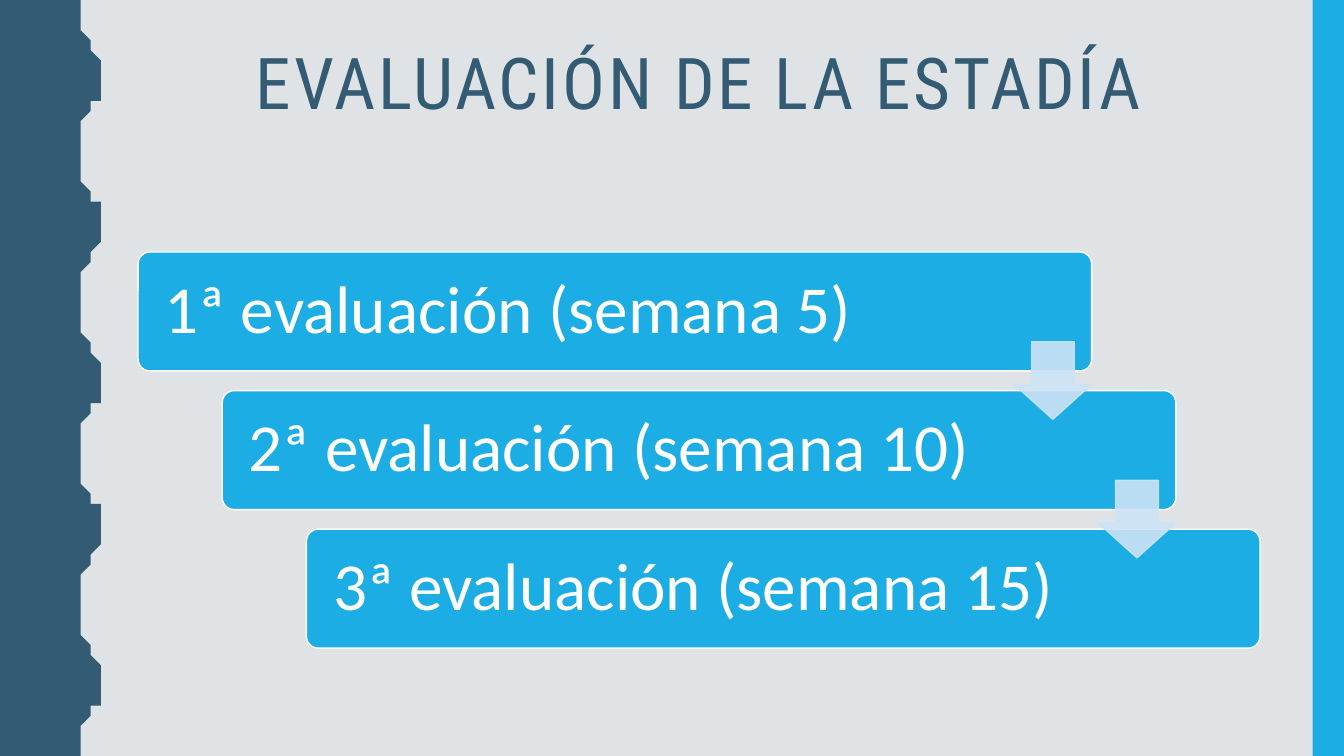
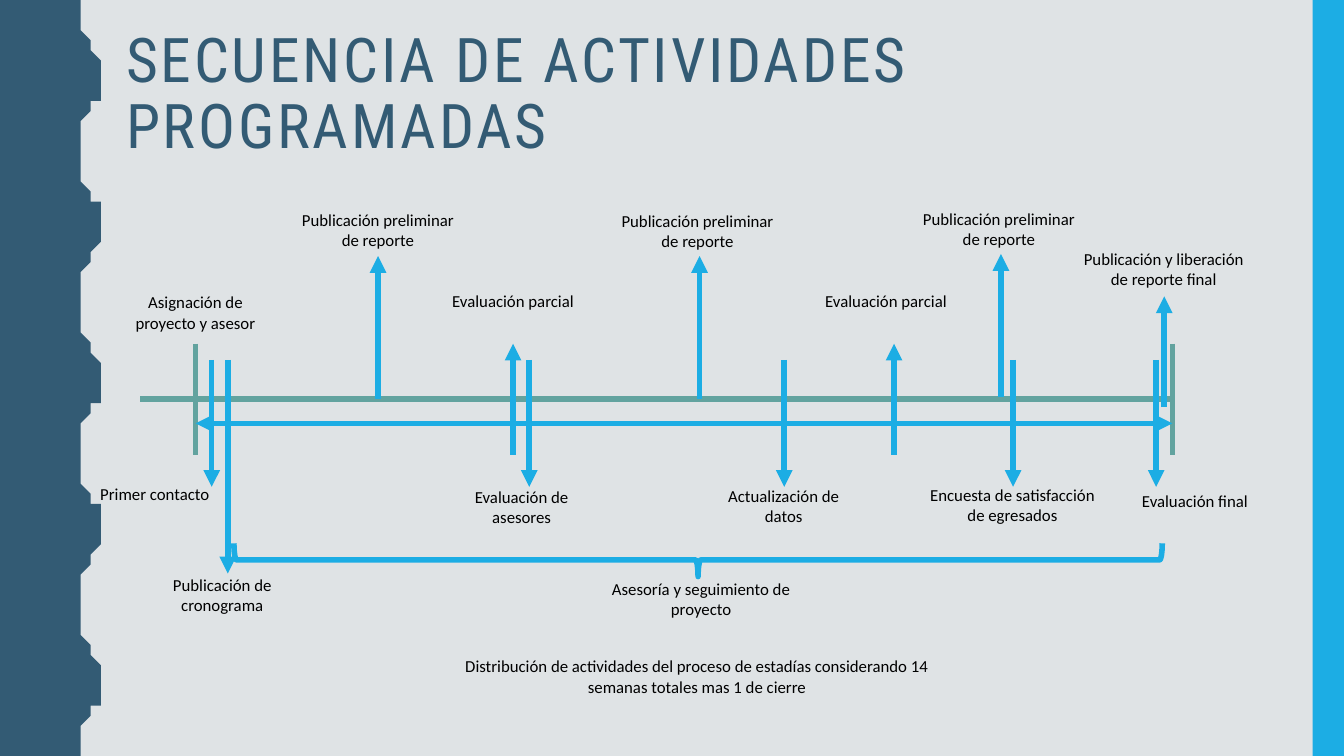
import itertools

import lxml.etree
import pptx
import pptx.dml.color
import pptx.enum.dml
import pptx.enum.shapes
import pptx.enum.text
import pptx.oxml
import pptx.oxml.ns
import pptx.util

RGB = pptx.dml.color.RGBColor
SHAPE = pptx.enum.shapes.MSO_SHAPE
ALIGN = pptx.enum.text.PP_ALIGN
ANCHOR = pptx.enum.text.MSO_ANCHOR

NAVY = RGB(0x33, 0x5B, 0x74)
SKY = RGB(0x1C, 0xAD, 0xE4)
PALE = RGB(0xCD, 0xE3, 0xF5)
TEAL = RGB(0x62, 0xA3, 0x9F)
MIST = RGB(0xDF, 0xE3, 0xE5)
WHITE = RGB(0xFF, 0xFF, 0xFF)
BLACK = RGB(0, 0, 0)

TITLE_FONT = "Roboto Condensed"
BODY_FONT = "Calibri"

COLUMNS, ROWS = 133.33, 75
BAND_WIDTH = 3.1
WAVE_PERIOD, WAVE_COUNT = 15, 5
WAVE_RISE = [(7.8, 0), (7.8, 0.7), (7.9, 1.4), (8, 2), (8.1, 2.5), (8.3, 2.9),
             (8.5, 3.3), (8.7, 3.8), (8.9, 4.2), (9.1, 4.6), (9.3, 5),
             (9.5, 5.5), (9.6, 6.1), (9.7, 6.8), (9.7, 7.5)]

EVALUATIONS = ["1ª evaluación (semana 5)", "2ª evaluación (semana 10)",
               "3ª evaluación (semana 15)"]
STEP_LEFT, STEP_TOP, STEP_WIDTH, STEP_HEIGHT = 13.7, 25, 94.6, 11.8
STEP_SHIFT, STEP_DROP = 8.35, 13.75
ARROW_SIZE, ARROW_DROP = 7.7, 8.9

AXIS_START, START, END = 13.9, 19.4, 116.3
AXIS, SPAN_ROW = 39.6, 42
RAISED = (45.1, 34.1)
LOWERED = (35.7, 48.3)
PUBLISHED = (AXIS, 25.4)
LAST_PUBLISHED = (39.4, 25.2)
SCHEDULED = (35.7, 56.9)
RELEASED = (40.4, 29.4)

# Each event: text, label centre, label top, label width, arrow column, arrow rows
EVENTS = [
    ("Evaluación parcial", 50.9, 28.4, 14.2, 50.9, RAISED),
    ("Evaluación parcial", 87.9, 28.4, 14.2, 88.7, RAISED),
    ("Primer contacto", 15.35, 47.5, 15.9, 21, LOWERED),
    ("Evaluación final", 118.55, 48.2, 15.9, 114.7, LOWERED),
    ("Evaluación de asesores", 51.75, 47.8, 15.9, 52.5, LOWERED),
    ("Publicación de cronograma", 22.05, 56.5, 15.9, 22.6, SCHEDULED),
    ("Publicación y liberación de reporte final", 115.45, 24.2, 18.9, 115.5, RELEASED),
    ("Publicación preliminar de reporte", 37.5, 20.3, 17.6, 37.5, PUBLISHED),
    ("Publicación preliminar de reporte", 69.2, 20.4, 17.6, 69.4, PUBLISHED),
    ("Publicación preliminar de reporte", 99.1, 20.2, 17.6, 99.3, LAST_PUBLISHED),
    ("Encuesta de satisfacción de egresados", 100.45, 47.6, 20.3, 100.5, LOWERED),
    ("Actualización de datos", 77.75, 47.7, 15.9, 77.8, LOWERED),
]
NOTES = [
    ("Asignación de proyecto y asesor", 19.4, 28.5, 14.6),
    ("Asesoría y seguimiento de proyecto", 69.55, 56.9, 21.1),
    ("Distribución de actividades del proceso de estadías considerando 14 "
     "semanas totales mas 1 de cierre", 69.15, 64.6, 50.7),
]


def cells(count):
    """Return the length of a number of grid cells, each a tenth of an inch."""
    return pptx.util.Inches(count / 10)


def style_text(frame, text, font, size, color, align):
    """Write one paragraph and format its run."""
    frame.text = text
    frame.word_wrap = True
    paragraph = frame.paragraphs[0]
    paragraph.alignment = align
    run = paragraph.runs[0]
    run.font.name = font
    run.font.size = pptx.util.Pt(size)
    run.font.color.rgb = color
    return paragraph


def add_block(slide, kind, left, top, width, height, fill=None, line=None, weight=1):
    """Add a preset shape with an optional fill and outline."""
    block = slide.shapes.add_shape(kind, *map(cells, (left, top, width, height)))
    paint(block, fill, line, weight)
    return block


def paint(block, fill, line=None, weight=1):
    """Set fill and outline of a shape and drop its shadow."""
    block.shadow.inherit = False
    for part, color in ((block.fill, fill), (block.line.fill, line)):
        if color is None:
            part.background()
        else:
            part.solid()
            part.fore_color.rgb = color
    if line is not None:
        block.line.width = pptx.util.Pt(weight)


def make_translucent(block, percent):
    """Give every colour of a shape the same opacity."""
    for color in block.element.spPr.iter(pptx.oxml.ns.qn("a:srgbClr")):
        alpha = lxml.etree.SubElement(color, pptx.oxml.ns.qn("a:alpha"))
        alpha.set("val", str(percent * 1000))


def add_line(slide, start, end, color, heads=()):
    """Add a straight line with arrowheads at the named ends."""
    line = slide.shapes.add_connector(
        pptx.enum.shapes.MSO_CONNECTOR.STRAIGHT, *map(cells, start + end))
    line.line.color.rgb = color
    line.line.width = pptx.util.Pt(4)
    outline = line.line.fill and line.element.spPr.find(pptx.oxml.ns.qn("a:ln"))
    for head in heads:
        lxml.etree.SubElement(outline, pptx.oxml.ns.qn("a:" + head)).set("type", "triangle")
    lxml.etree.SubElement(line.element.spPr, pptx.oxml.ns.qn("a:effectLst"))


def add_label(slide, text, center, top, width):
    """Add a centred caption around a grid column."""
    label = slide.shapes.add_textbox(
        cells(center - width / 2), cells(top), cells(width), cells(5))
    style_text(label.text_frame, text, BODY_FONT, 12, BLACK, ALIGN.CENTER)


def set_title(slide, text, left, top, width, height, size, align):
    """Place and format the title placeholder."""
    title = slide.shapes.title
    title.left, title.top, title.width, title.height = map(
        cells, (left, top, width, height))
    frame = title.text_frame
    paragraph = style_text(frame, text, TITLE_FONT, size, NAVY, align)
    paragraph.line_spacing = 0.9
    paragraph.runs[0].font._element.set("spc", "200")
    frame.auto_size = pptx.enum.text.MSO_AUTO_SIZE.NONE
    frame.vertical_anchor = ANCHOR.TOP


def decorate_layout(layout, slide):
    """Give the layout its background, wavy edge and side band."""
    layout.background.fill.solid()
    layout.background.fill.fore_color.rgb = MIST
    fall = [(x, WAVE_PERIOD - y) for x, y in reversed(WAVE_RISE)]
    edge = [(x, y + WAVE_PERIOD * turn)
            for turn, (x, y) in itertools.product(range(WAVE_COUNT), WAVE_RISE + fall)]
    builder = slide.shapes.build_freeform(0, 0, scale=cells(1))
    builder.add_line_segments(edge + [(0, ROWS)], close=True)
    wave = builder.convert_to_shape()
    paint(wave, NAVY)
    band = add_block(slide, SHAPE.RECTANGLE, COLUMNS - BAND_WIDTH, 0,
                     BAND_WIDTH, ROWS, SKY)
    for position, part in enumerate((wave, band), start=2):
        layout.shapes.element.insert(position, part.element)


def add_evaluation(slide, index, text):
    """Add one step of the evaluation staircase."""
    step = add_block(slide, SHAPE.ROUNDED_RECTANGLE, STEP_LEFT + STEP_SHIFT * index,
                     STEP_TOP + STEP_DROP * index, STEP_WIDTH, STEP_HEIGHT, SKY, WHITE)
    step.adjustments[0] = 0.1
    style_text(step.text_frame, text, BODY_FONT, 48, WHITE, ALIGN.LEFT).line_spacing = 0.9
    step.text_frame.margin_left = cells(2.3)
    step.text_frame.vertical_anchor = ANCHOR.MIDDLE


def add_step_arrow(slide, index):
    """Add the arrow that leads from one step to the next."""
    arrow = add_block(slide, SHAPE.DOWN_ARROW,
                      STEP_LEFT + STEP_WIDTH - ARROW_SIZE + STEP_SHIFT * index,
                      STEP_TOP + ARROW_DROP + STEP_DROP * index,
                      ARROW_SIZE, ARROW_SIZE, PALE, PALE)
    arrow.adjustments[0], arrow.adjustments[1] = 0.55, 0.45
    make_translucent(arrow, 90)


def build_evaluations(slide):
    """Fill the slide with the three evaluations."""
    set_title(slide, "EVALUACIÓN DE LA ESTADÍA", 13.7, 4.2, 111.3, 16.3, 51, ALIGN.CENTER)
    for index, text in enumerate(EVALUATIONS):
        add_evaluation(slide, index, text)
    for index in range(len(EVALUATIONS) - 1):
        add_step_arrow(slide, index)


def build_timeline(slide):
    """Fill the slide with the sequence of activities."""
    set_title(slide, "SECUENCIA DE ACTIVIDADES PROGRAMADAS", 11.5, 2.4, 121.9, 8, 44, ALIGN.LEFT)
    add_line(slide, (AXIS_START, AXIS), (END, AXIS), TEAL)
    for limit in (START, END):
        add_line(slide, (limit, RAISED[1]), (limit, RAISED[0]), TEAL)
    add_line(slide, (START, SPAN_ROW), (END, SPAN_ROW), SKY, ("headEnd", "tailEnd"))
    for text, center, top, width, column, (tail, tip) in EVENTS:
        add_line(slide, (column, tail), (column, tip), SKY, ("tailEnd",))
        add_label(slide, text, center, top, width)
    follow_up = add_block(slide, SHAPE.RIGHT_BRACE, 67.6, 9.5, 3.3, 92.1, line=SKY, weight=4)
    follow_up.rotation = 90
    follow_up.adjustments[0], follow_up.adjustments[1] = 0.08, 0.5
    for note in NOTES:
        add_label(slide, *note)


def main():
    """Build both slides and save the presentation."""
    deck = pptx.Presentation()
    deck.slide_width, deck.slide_height = cells(COLUMNS), cells(ROWS)
    layout = deck.slide_layouts[5]
    evaluations, timeline = (deck.slides.add_slide(layout) for _ in range(2))
    decorate_layout(layout, evaluations)
    build_evaluations(evaluations)
    build_timeline(timeline)
    deck.save("out.pptx")


if __name__ == "__main__":
    main()
